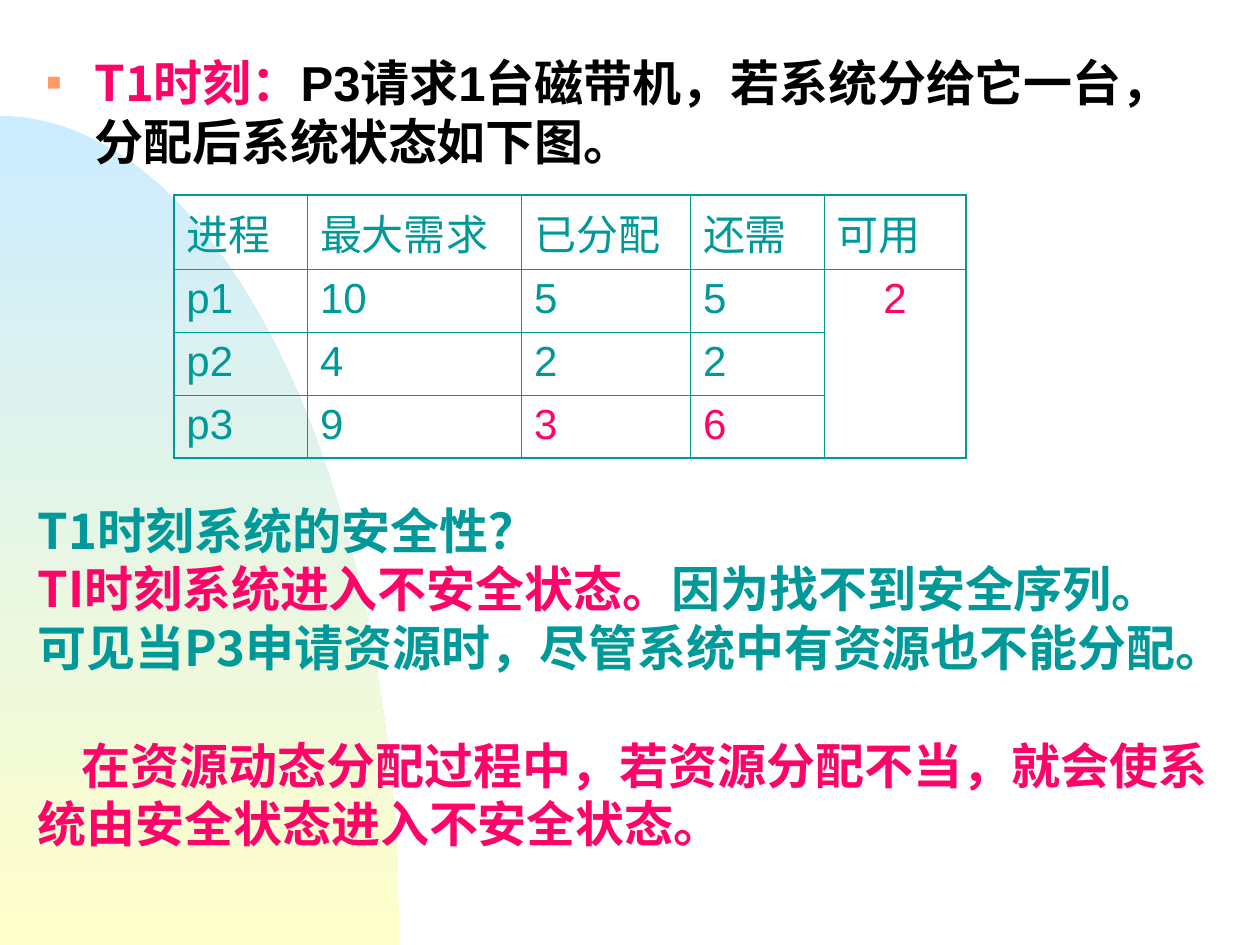
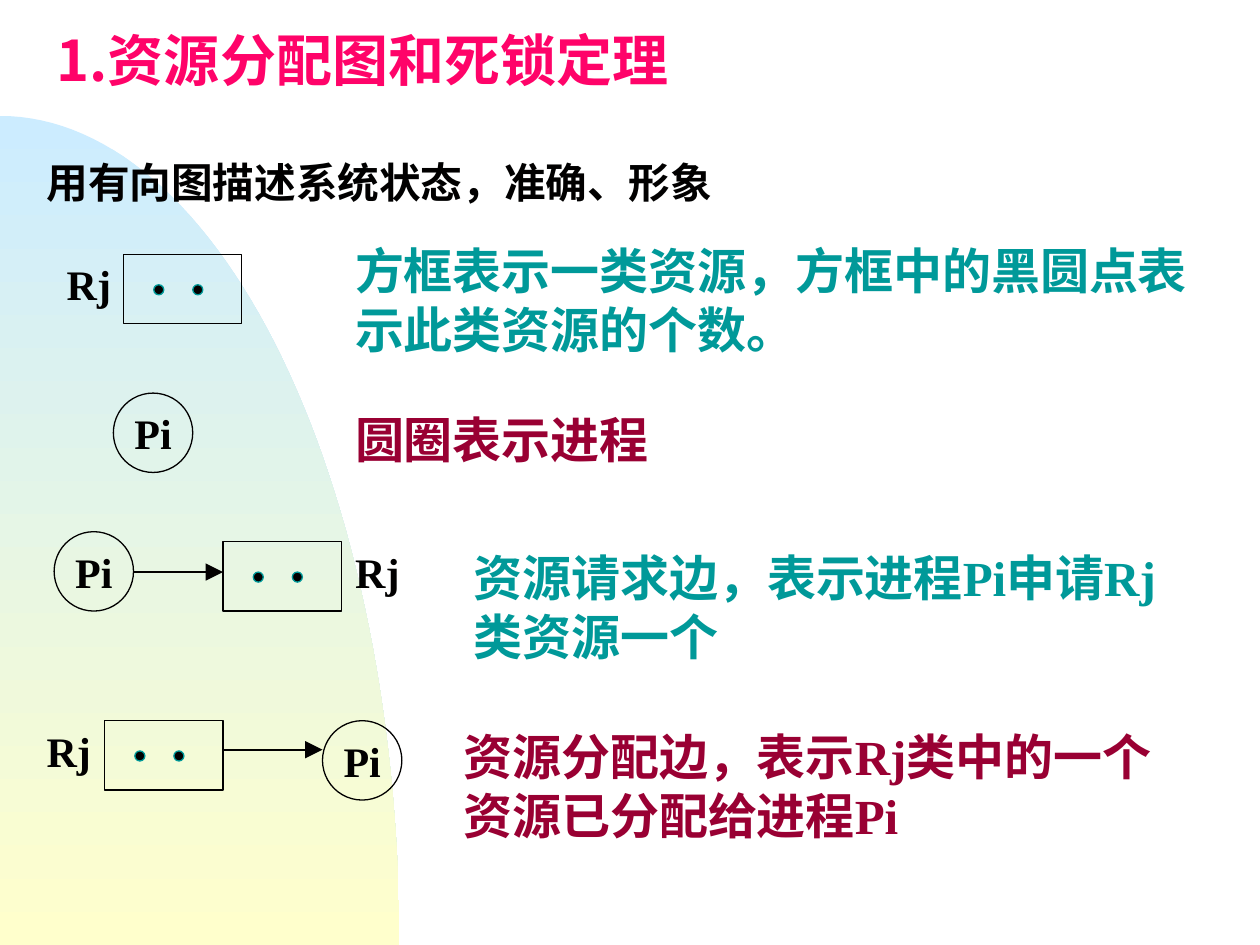
import math
from lxml import etree
from pptx import Presentation
from pptx.dml.color import RGBColor
from pptx.enum import shapes, text
from pptx.oxml import ns
from pptx.util import Inches, Pt

COLORS = {"teal": "009999", "pink": "FF0369", "wine": "990033", "ink": "010000",
          "black": "000000", "bullet": "FF9966", "sky": "CCECFF", "cream": "FFFFCC"}
CJK = "Noto Sans CJK SC"
SERIF = "Times New Roman"
LINE_28 = Pt(33.6)


def add_xml(parent, tag, **attributes):
    element = etree.SubElement(parent, ns.qn(tag))
    for name, value in attributes.items():
        element.set(name, value)
    return element


def add_runs(paragraph, size, *runs, bold=True):
    paragraph._element.get_or_add_pPr().set("hangingPunct", "0")
    for words, font_name, color in runs:
        run = paragraph.add_run()
        run.text = words
        run.font.size = Pt(size)
        run.font.bold = bold
        run.font.name = font_name
        run.font.color.rgb = RGBColor.from_string(COLORS[color])
        add_xml(run.font._element, "a:ea", typeface=CJK)


presentation = Presentation()
presentation.slide_width = Inches(10)
presentation.slide_height = Inches(7.5)
layout = presentation.slide_layouts[1]
state_slide = presentation.slides.add_slide(layout)
graph_slide = presentation.slides.add_slide(layout)

angles = [math.radians(90 * step / 60) for step in range(61)]
arc = [(3.17 * math.sin(angle), 7.5 - 6.58 * math.cos(angle)) for angle in angles]
builder = state_slide.shapes.build_freeform(0, Inches(7.5))
builder.add_line_segments([(Inches(x), Inches(y)) for x, y in arc])
dome = builder.convert_to_shape()
dome.shadow.inherit = False
dome.line.fill.background()
dome.fill.gradient()
dome.fill.gradient_angle = 270
for stop, color, position in zip(dome.fill.gradient_stops, ("sky", "cream"), (0, 1)):
    stop.color.rgb = RGBColor.from_string(COLORS[color])
    stop.position = position
presentation.slide_master.shapes._spTree.insert(2, dome._element)

title = state_slide.shapes.title
title._element.getparent().remove(title._element)
body = state_slide.placeholders[1]
body.left, body.top, body.width, body.height = map(Inches, (0.27, 0.37, 9.37, 1.18))
body.text_frame.auto_size = text.MSO_AUTO_SIZE.NONE
paragraph = body.text_frame.paragraphs[0]
properties = paragraph._element.get_or_add_pPr()
properties.set("marL", str(Inches(0.38)))
properties.set("indent", str(-Inches(0.38)))
add_xml(add_xml(properties, "a:buClr"), "a:srgbClr", val=COLORS["bullet"])
add_xml(properties, "a:buSzPct", val="50000")
add_xml(properties, "a:buChar", char="■")
paragraph.space_before = Pt(0)
paragraph.line_spacing = LINE_28
add_runs(paragraph, 28, ("T1时刻：", CJK, "pink"), ("P3", "Arial", "black"),
         ("请求", CJK, "black"), ("1", "Arial", "black"),
         ("台磁带机，若系统分给它一台，分配后系统状态如下图。", CJK, "black"))

rows = [["进程", "最大需求", "已分配", "还需", "可用"],
        ["p1", "10", "5", "5", "2"],
        ["p2", "4", "2", "2", ""],
        ["p3", "9", "3", "6", ""]]
changed_cells = {(1, 4), (3, 2), (3, 3)}
frame = state_slide.shapes.add_table(4, 5, Inches(1.38), Inches(1.55), Inches(6.3), Inches(2.08))
table = frame.table
table.first_row = table.horz_banding = False
for column, width in zip(table.columns, (1.06, 1.7, 1.34, 1.06, 1.13)):
    column.width = Inches(width)
for row, height in zip(table.rows, (0.58, 0.5, 0.5, 0.5)):
    row.height = Inches(height)
available = table.cell(1, 4)
available.merge(table.cell(3, 4))
for row_index, row in enumerate(rows):
    for column_index, value in enumerate(row):
        cell = table.cell(row_index, column_index)
        outer_sides = {"L": column_index == 0, "R": column_index == 4,
                       "T": row_index == 0, "B": row_index == 3 or cell.is_merge_origin}
        cell_properties = cell._tc.get_or_add_tcPr()
        for side, outer in outer_sides.items():
            border = add_xml(cell_properties, f"a:ln{side}", w=str(Pt(1.08 if outer else 0.45)))
            add_xml(add_xml(border, "a:solidFill"), "a:srgbClr", val=COLORS["teal"])
        cell.fill.background()
        if value:
            color = "pink" if (row_index, column_index) in changed_cells else "teal"
            add_runs(cell.text_frame.paragraphs[0], 24, (value, "Arial", color), bold=False)
available.text_frame.paragraphs[0].alignment = text.PP_ALIGN.CENTER

safety = state_slide.shapes.add_textbox(*map(Inches, (0.2, 3.92, 9.69, 3.37))).text_frame
safety.word_wrap = True
safety_paragraphs = [
    [("T1时刻系统的安全性？", CJK, "teal")],
    [("TI时刻系统进入不安全状态。", CJK, "pink"), ("因为找不到安全序列。", CJK, "teal")],
    [("可见当P3申请资源时，尽管系统中有资源也不能分配。", CJK, "teal")],
    [("在资源动态分配过程中，若资源分配不当，就会使系统由安全状态进入不安全状态。", CJK, "pink")]]
for index, runs in enumerate(safety_paragraphs):
    paragraph = safety.add_paragraph() if index else safety.paragraphs[0]
    paragraph.line_spacing = LINE_28
    add_runs(paragraph, 28, *runs)
paragraph.space_before = LINE_28
paragraph._element.get_or_add_pPr().set("indent", str(Inches(0.35)))

title = graph_slide.shapes.title
title.left, title.top, title.width, title.height = map(Inches, (0.35, 0.28, 9.44, 0.51))
title.text_frame.auto_size = text.MSO_AUTO_SIZE.NONE
title.text_frame.vertical_anchor = text.MSO_ANCHOR.MIDDLE
paragraph = title.text_frame.paragraphs[0]
paragraph.alignment = text.PP_ALIGN.LEFT
paragraph.line_spacing = 0.7
add_runs(paragraph, 32, ("1.资源分配图和死锁定理", CJK, "pink"))

body = graph_slide.placeholders[1]
body.left, body.top, body.width, body.height = map(Inches, (0.27, 0.82, 9.36, 0.87))
body.text_frame.auto_size = text.MSO_AUTO_SIZE.NONE
body.text_frame.vertical_anchor = text.MSO_ANCHOR.BOTTOM
paragraph = body.text_frame.paragraphs[0]
properties = paragraph._element.get_or_add_pPr()
properties.set("marL", "0")
properties.set("indent", "0")
add_xml(properties, "a:buNone")
paragraph.space_before = Pt(0)
paragraph.line_spacing = Pt(28.6)
add_runs(paragraph, 23.8, ("用有向图描述系统状态，准确、形象", CJK, "ink"))

descriptions = [
    (2.72, 1.86, 6.93, 1.04, "teal", "方框表示一类资源，方框中的黑圆点表示此类资源的个数。"),
    (2.72, 3.2, 4.17, 0.57, "wine", "圆圈表示进程"),
    (3.66, 4.3, 5.91, 1.04, "teal", "资源请求边，表示进程Pi申请Rj类资源一个"),
    (3.58, 5.72, 5.9, 1.04, "wine", "资源分配边，表示Rj类中的一个资源已分配给进程Pi")]
for left, top, width, height, color, words in descriptions:
    box = graph_slide.shapes.add_textbox(*map(Inches, (left, top, width, height)))
    box.text_frame.word_wrap = True
    paragraph = box.text_frame.paragraphs[0]
    paragraph.line_spacing = LINE_28
    add_runs(paragraph, 28, (words, SERIF, color))

nodes = []
labels = []
for left, top, label_left in ((0.98, 2.02, 0.51), (1.77, 4.3, 2.8), (0.83, 5.72, 0.35)):
    nodes.append((shapes.MSO_SHAPE.RECTANGLE, left, top, 0.94, 0.55, None, "ink"))
    for offset in (0.24, 0.55):
        nodes.append((shapes.MSO_SHAPE.OVAL, left + offset, top + 0.24, 0.08, 0.08, "ink", "teal"))
    label = graph_slide.shapes.add_textbox(*map(Inches, (label_left, top, 0.39, 0.47)))
    labels.append((label, "Rj"))
for left, top in ((0.9, 3.12), (0.43, 4.22), (2.56, 5.72)):
    nodes.append((shapes.MSO_SHAPE.OVAL, left, top, 0.63, 0.63, None, "ink"))
for kind, left, top, width, height, fill, line in nodes:
    shape = graph_slide.shapes.add_shape(kind, *map(Inches, (left, top, width, height)))
    shape.shadow.inherit = False
    shape.line.color.rgb = RGBColor.from_string(COLORS[line])
    shape.line.width = Pt(0.75)
    if fill:
        shape.fill.solid()
        shape.fill.fore_color.rgb = RGBColor.from_string(COLORS[fill])
    else:
        shape.fill.background()
    if width == 0.63:
        labels.append((shape, "Pi"))
for shape, words in labels:
    shape.text_frame.word_wrap = False
    shape.text_frame.margin_left = shape.text_frame.margin_right = 0
    shape.text_frame.vertical_anchor = text.MSO_ANCHOR.MIDDLE
    paragraph = shape.text_frame.paragraphs[0]
    paragraph.alignment = text.PP_ALIGN.CENTER
    add_runs(paragraph, 24, (words, SERIF, "ink"))

for start, end, height in ((1.06, 1.77, 4.54), (1.77, 2.56, 5.95)):
    arrow = graph_slide.shapes.add_connector(
        shapes.MSO_CONNECTOR.STRAIGHT, *map(Inches, (start, height, end, height)))
    arrow.line.color.rgb = RGBColor.from_string(COLORS["ink"])
    arrow.line.width = Pt(1)
    add_xml(arrow.line._get_or_add_ln(), "a:tailEnd", type="triangle", w="lg", len="lg")
    add_xml(arrow._element.spPr, "a:effectLst")

presentation.save("out.pptx")
